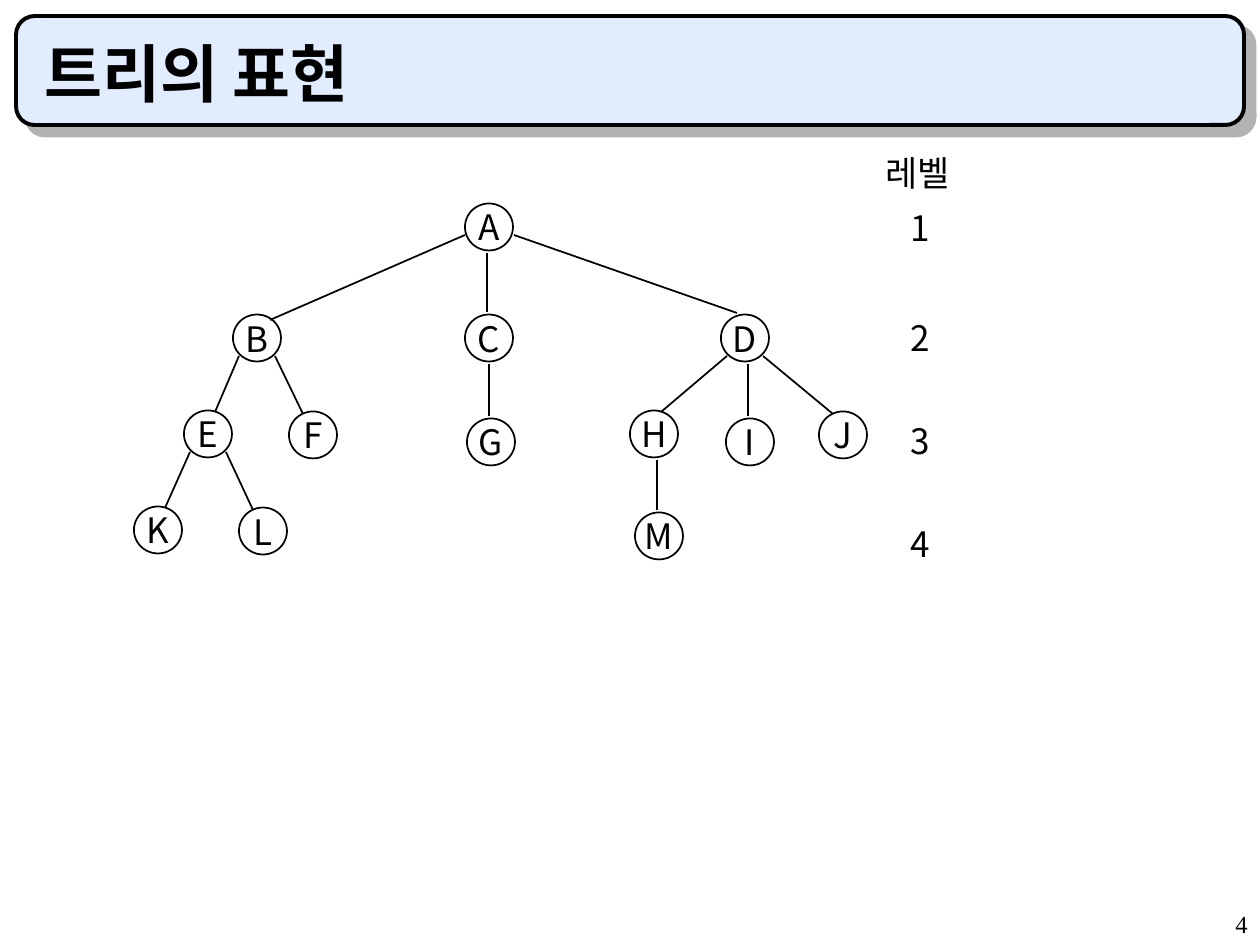
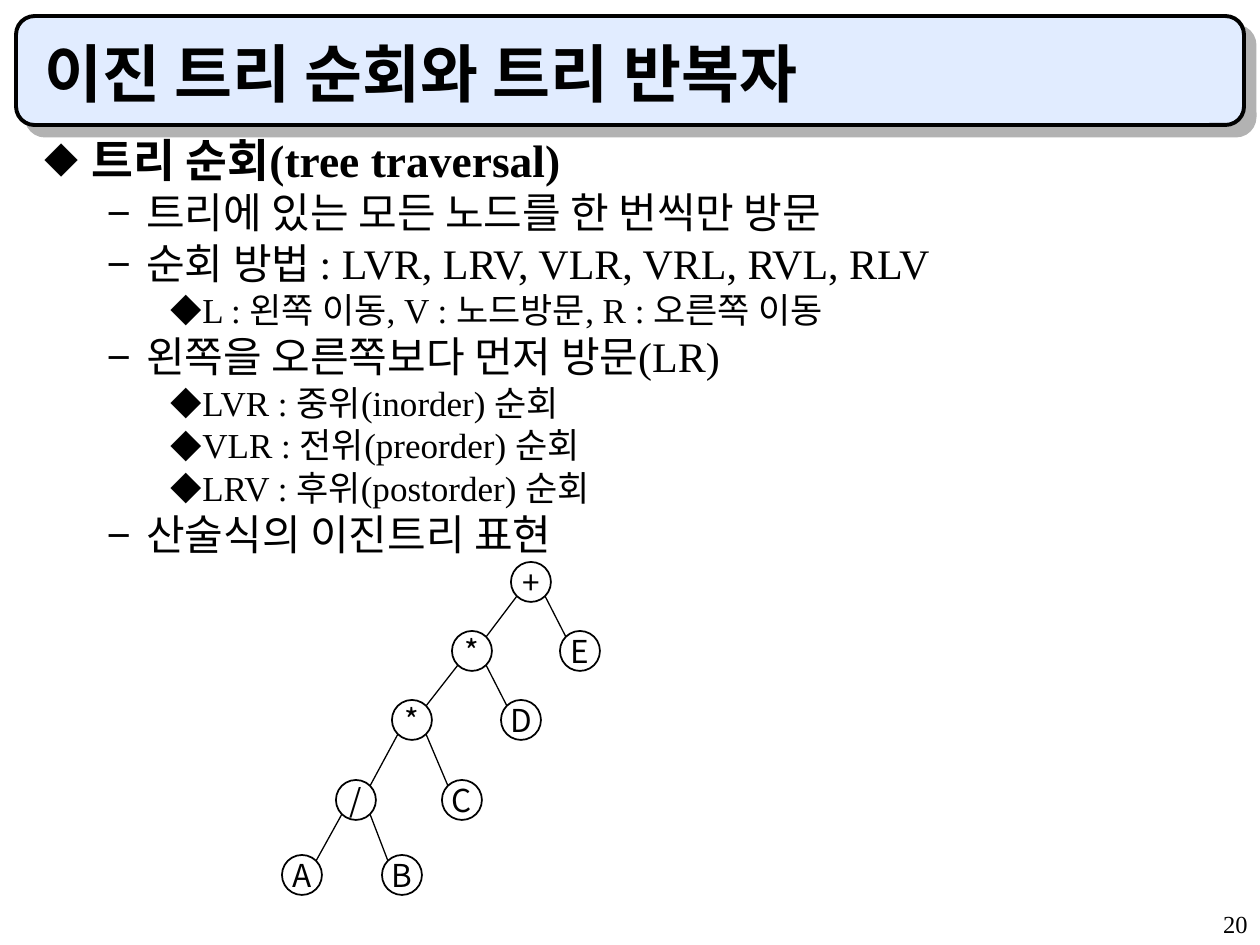
from collections import namedtuple
from dataclasses import dataclass

from lxml import etree
from pptx import Presentation
from pptx.dml.color import RGBColor
from pptx.enum.shapes import MSO_CONNECTOR, MSO_SHAPE
from pptx.enum.text import MSO_ANCHOR, PP_ALIGN
from pptx.oxml.ns import qn
from pptx.util import Emu, Pt

EMU_PER_PX = 914400 / 126
SLIDE_SIZE = (1260, 945)


@dataclass(frozen=True)
class Theme:
    ink: str = "000000"
    band: str = "E1ECFF"
    shadow: str = "B2B2B2"
    sans: str = "Noto Sans CJK KR"
    serif: str = "Times New Roman"
    title: int = 36
    label: int = 20
    footer: int = 14
    band_line: float = 2.25


THEME = Theme()

# Centre of a node in px; port names how the edge from its parent is attached.
Node = namedtuple("Node", "text x y port children", defaults=("", ()))
# Node size, label size, edge width and port offsets from the two node centres.
TreeStyle = namedtuple("TreeStyle", "width height size edge ports")
# Outline level: left margin, hanging indent, bullet, bullet %, size, space before, bold.
Level = namedtuple("Level", "margin hang bullet percent size before bold")

LEVEL_TREE = Node("A", 489, 227, children=(
    Node("B", 257, 338, "far left", (
        Node("E", 208, 434, "left", (
            Node("K", 158, 530, "left"),
            Node("L", 263, 531, "right"))),
        Node("F", 313, 435, "right"))),
    Node("C", 489, 338, "down", (
        Node("G", 491, 442, "down"),)),
    Node("D", 745, 338, "far right", (
        Node("H", 654, 434, "left", (
            Node("M", 659, 536, "down"),)),
        Node("I", 750, 442, "down"),
        Node("J", 843, 435, "right")))))
LEVEL_STYLE = TreeStyle(48, 47, THEME.label, 1, {
    "left": ((-18, 18), (7, -22)),
    "right": ((18, 18), (-10, -21)),
    "far left": ((-24, 8), (13, -18)),
    "far right": ((25, 8), (-8, -25)),
    "down": ((None, 26), (-2, -26)),
})
LEVEL_HEADING = ("레벨", 873, 145, 110)
LEVEL_NUMBERS = {"1": 200, "2": 310, "3": 413, "4": 516}

EXPRESSION_TREE = Node("+", 531, 582, children=(
    Node("*", 472, 651, "left", (
        Node("*", 412, 720, "left", (
            Node("/", 356, 800, "left", (
                Node("A", 302, 875, "left"),
                Node("B", 402, 875, "right"))),
            Node("C", 462, 800, "right"))),
        Node("D", 521, 720, "right"))),
    Node("E", 580, 651, "right")))
EXPRESSION_STYLE = TreeStyle(40, 40, 18, 0.75, {
    "left": ((-14, 14), (14, -14)),
    "right": ((14, 14), (-14, -14)),
})

LEVELS = (
    Level(47, 47, "◆", 75, 26, 6.5, True),
    Level(102, 39, "−", 100, 24, 6, False),
    Level(158, 32, "◆", 90, 20, 5, False),
)
TRAVERSAL_OUTLINE = (
    (0, "트리 순회(tree traversal)"),
    (1, "트리에 있는 모든 노드를 한 번씩만 방문"),
    (1, "순회 방법 : LVR, LRV, VLR, VRL, RVL, RLV"),
    (2, "L : 왼쪽 이동, V : 노드방문, R : 오른쪽 이동"),
    (1, "왼쪽을 오른쪽보다 먼저 방문(LR)"),
    (2, "LVR : 중위(inorder) 순회"),
    (2, "VLR : 전위(preorder) 순회"),
    (2, "LRV : 후위(postorder) 순회"),
    (1, "산술식의 이진트리 표현"),
)


def px(*lengths):
    return [Emu(round(length * EMU_PER_PX)) for length in lengths]


def color(hex_code):
    return RGBColor.from_string(hex_code)


def write(paragraph, text, *, size, font=THEME.sans, bold=False, align=PP_ALIGN.LEFT):
    paragraph.alignment = align
    run = paragraph.add_run()
    run.text = text
    run.font.size = Pt(size)
    run.font.bold = bold
    run.font.name = font
    run.font.color.rgb = color(THEME.ink)
    etree.SubElement(run._r.get_or_add_rPr(), qn("a:ea"), typeface=THEME.sans)


def add_box(slide, *bounds, anchor=MSO_ANCHOR.TOP):
    frame = slide.shapes.add_textbox(*px(*bounds)).text_frame
    frame.word_wrap = True
    frame.vertical_anchor = anchor
    return frame


def add_label(slide, text, *bounds, anchor=MSO_ANCHOR.TOP, **text_format):
    frame = add_box(slide, *bounds, anchor=anchor)
    write(frame.paragraphs[0], text, **text_format)


def add_band(slide):
    band = slide.shapes.add_shape(MSO_SHAPE.ROUNDED_RECTANGLE, *px(16, 16, 1228, 109))
    band.adjustments[0] = 0.17
    band.fill.solid()
    band.fill.fore_color.rgb = color(THEME.band)
    band.line.color.rgb = color(THEME.ink)
    band.line.width = Pt(THEME.band_line)
    effects = etree.SubElement(band._element.spPr, qn("a:effectLst"))
    shadow = etree.SubElement(effects, qn("a:outerShdw"), blurRad="0",
                              dist=str(Pt(8.5)), dir=str(45 * 60000),
                              algn="ctr", rotWithShape="0")
    etree.SubElement(shadow, qn("a:srgbClr"), val=THEME.shadow)


def start_slide(deck, title, number):
    slide = deck.slides.add_slide(deck.slide_layouts[6])
    add_band(slide)
    add_label(slide, str(number), 998, 903, 262, 42, size=THEME.footer,
              font=THEME.serif, align=PP_ALIGN.RIGHT)
    add_label(slide, title, 32, 32, 1187, 84, anchor=MSO_ANCHOR.BOTTOM,
              size=THEME.title, bold=True)
    return slide


def add_edge(slide, parent, child, style):
    """Join two nodes; a start offset of None makes the edge vertical."""
    (start_dx, start_dy), (end_dx, end_dy) = style.ports[child.port]
    end_x = child.x + end_dx
    start_x = end_x if start_dx is None else parent.x + start_dx
    edge = slide.shapes.add_connector(
        MSO_CONNECTOR.STRAIGHT,
        *px(start_x, parent.y + start_dy, end_x, child.y + end_dy))
    edge.line.color.rgb = color(THEME.ink)
    edge.line.width = Pt(style.edge)
    etree.SubElement(edge._element.spPr, qn("a:effectLst"))


def add_tree(slide, node, style):
    circle = slide.shapes.add_shape(
        MSO_SHAPE.OVAL, *px(node.x - style.width / 2, node.y - style.height / 2,
                            style.width, style.height))
    circle.shadow.inherit = False
    circle.fill.background()
    circle.line.color.rgb = color(THEME.ink)
    circle.line.width = Pt(1)
    frame = circle.text_frame
    frame.word_wrap = False
    frame.vertical_anchor = MSO_ANCHOR.MIDDLE
    write(frame.paragraphs[0], node.text, size=style.size, align=PP_ALIGN.CENTER)
    for child in node.children:
        add_edge(slide, node, child, style)
        add_tree(slide, child, style)


def add_bullet(paragraph, level):
    properties = paragraph._p.get_or_add_pPr()
    margin, hang = px(level.margin, level.hang)
    properties.set("marL", str(margin))
    properties.set("indent", str(-hang))
    bullet_color = etree.SubElement(properties, qn("a:buClr"))
    etree.SubElement(bullet_color, qn("a:srgbClr"), val=THEME.ink)
    etree.SubElement(properties, qn("a:buSzPct"), val=str(level.percent * 1000))
    etree.SubElement(properties, qn("a:buFont"), typeface=THEME.sans)
    etree.SubElement(properties, qn("a:buChar"), char=level.bullet)


def add_outline(slide, outline, *bounds):
    frame = add_box(slide, *bounds)
    for index, (depth, text) in enumerate(outline):
        level = LEVELS[depth]
        paragraph = frame.add_paragraph() if index else frame.paragraphs[0]
        add_bullet(paragraph, level)
        paragraph.level = depth
        paragraph.line_spacing = 0.8
        if index:
            paragraph.space_before = Pt(level.before)
        write(paragraph, text, size=level.size, font=THEME.serif, bold=level.bold)


def build_level_slide(deck):
    slide = start_slide(deck, "트리의 표현", 4)
    add_tree(slide, LEVEL_TREE, LEVEL_STYLE)
    heading, left, top, width = LEVEL_HEADING
    add_label(slide, heading, left, top, width, 54, size=THEME.label)
    for number, top in LEVEL_NUMBERS.items():
        add_label(slide, number, 898, top, 45, 54, size=THEME.label)


def build_traversal_slide(deck):
    slide = start_slide(deck, "이진 트리 순회와 트리 반복자", 20)
    add_outline(slide, TRAVERSAL_OUTLINE, 32, 136, 1187, 735)
    add_tree(slide, EXPRESSION_TREE, EXPRESSION_STYLE)


def main():
    deck = Presentation()
    deck.slide_width, deck.slide_height = px(*SLIDE_SIZE)
    build_level_slide(deck)
    build_traversal_slide(deck)
    deck.save("out.pptx")


if __name__ == "__main__":
    main()
